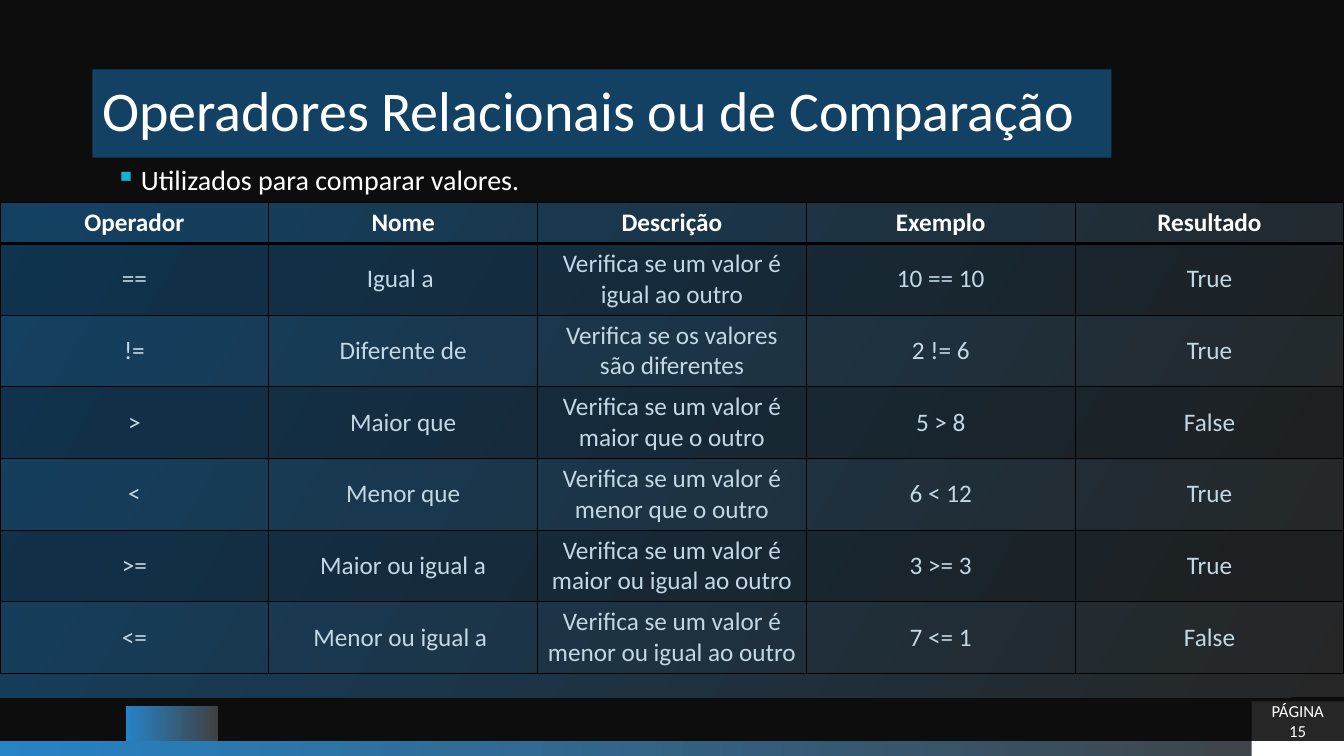
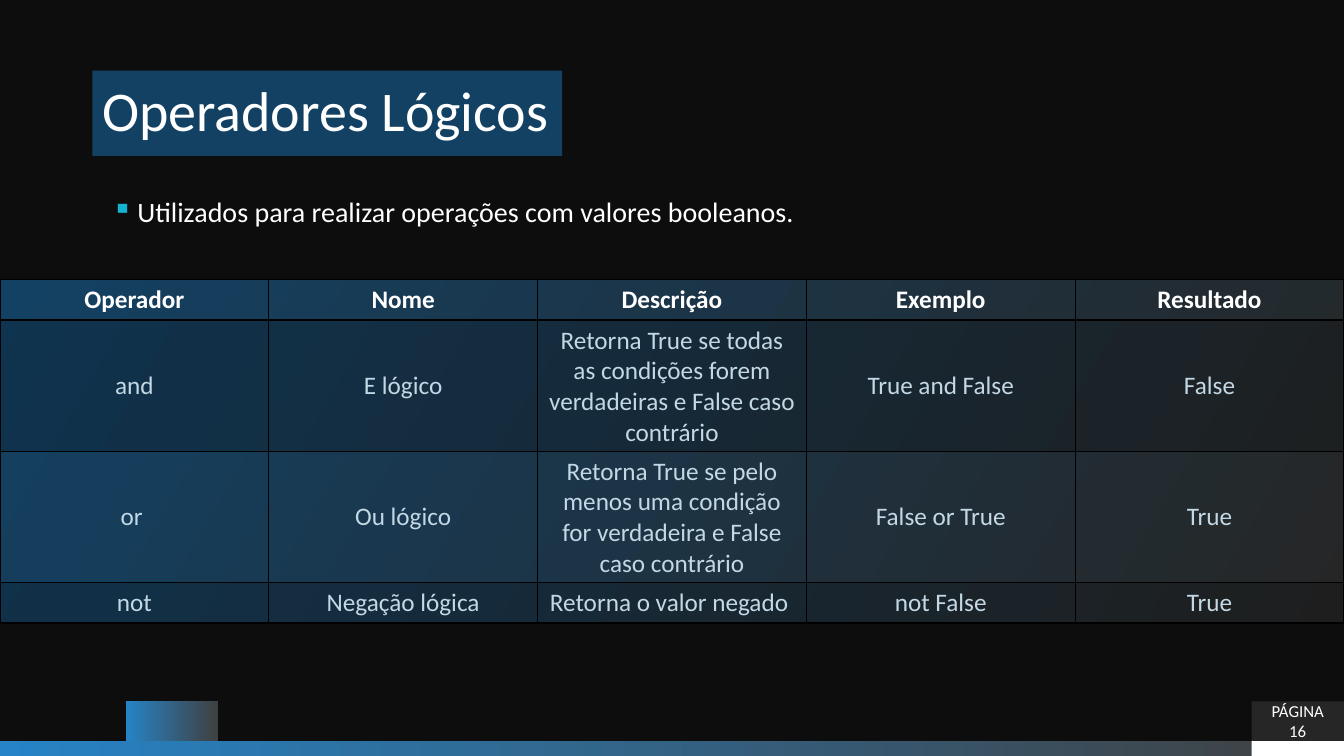
from lxml import etree
from pptx import Presentation
from pptx.dml.color import RGBColor
from pptx.enum.shapes import MSO_SHAPE
from pptx.enum.text import MSO_ANCHOR, PP_ALIGN
from pptx.oxml.ns import qn
from pptx.util import Pt

RECT = MSO_SHAPE.RECTANGLE
LEFT, CENTER = PP_ALIGN.LEFT, PP_ALIGN.CENTER
TOP, MIDDLE = MSO_ANCHOR.TOP, MSO_ANCHOR.MIDDLE

BACKGROUND = RGBColor(0x0D, 0x0D, 0x0D)
WHITE = RGBColor(0xFF, 0xFF, 0xFF)
BLACK = RGBColor(0, 0, 0)
NAVY = RGBColor(0x13, 0x41, 0x63)
BLUE = RGBColor(0x26, 0x83, 0xC6)
GRAY = RGBColor(0x40, 0x40, 0x40)
DARK = RGBColor(0x26, 0x26, 0x26)
CYAN = RGBColor(0x17, 0xB2, 0xD1)
PALE = RGBColor(0xC3, 0xD8, 0xE5)

FONT = "Calibri"
WIDTH, HEIGHT = 960, 540
BAND_TOP = 529.2
PAGE_LEFT, PAGE_WIDTH = 894, 66
PAGE_TOP = 501
HEADER_HEIGHT = 29.2
BAND_ALPHA = 20

HEADERS = ("Operador", "Nome", "Descrição", "Exemplo", "Resultado")
RELATIONAL = (
    ("==", "Igual a ", "Verifica se um valor é igual ao outro", "10 == 10", "True"),
    ("!=", "Diferente de", "Verifica se os valores são diferentes", "2 != 6", "True"),
    (">", "Maior que", "Verifica se um valor é maior que o outro", "5 > 8", "False"),
    ("<", "Menor que", "Verifica se um valor é menor que o outro", "6 < 12", "True"),
    (">=", "Maior ou igual a", "Verifica se um valor é maior ou igual ao outro",
     "3 >= 3", "True"),
    ("<=", "Menor ou igual a ", "Verifica se um valor é menor ou igual ao outro",
     "7 <= 1", "False"),
)
LOGICAL = (
    ("and", "E lógico",
     "Retorna True se todas as condições forem verdadeiras e False caso contrário",
     "True and False", "False"),
    ("or ", "Ou lógico",
     "Retorna True se pelo menos uma condição for verdadeira e False caso contrário",
     "False or True", "True"),
    ("not", "Negação lógica", "Retorna o valor negado ", "not False", "True"),
)


def write(tf, text, size=18, color=WHITE, bold=False, align=LEFT, anchor=TOP,
          spacing=None):
    tf.word_wrap = True
    tf.vertical_anchor = anchor
    p = tf.paragraphs[0]
    p.alignment = align
    if spacing:
        p.line_spacing = spacing
    r = p.add_run()
    r.text = text
    r.font.name = FONT
    r.font.size = Pt(size)
    r.font.bold = bold
    r.font.color.rgb = color
    return p


def add_rect(s, left, top, width, height, color=None):
    sp = s.shapes.add_shape(RECT, Pt(left), Pt(top), Pt(width), Pt(height))
    sp.shadow.inherit = False
    sp.line.fill.background()
    if color is not None:
        sp.fill.solid()
        sp.fill.fore_color.rgb = color
    return sp


def add_gradient(s, left, top, width, height, start=BLUE, end=GRAY, angle=0):
    """Add a rectangle with a two-colour gradient; angle is counter-clockwise."""
    sp = add_rect(s, left, top, width, height)
    sp.fill.gradient()
    sp.fill.gradient_angle = angle
    for stop, color, position in zip(sp.fill.gradient_stops, (start, end), (0, 1)):
        stop.color.rgb = color
        stop.position = position


def add_title(s, text, top, width, height):
    sp = add_rect(s, 66, top, width, height, NAVY)
    tf = sp.text_frame
    tf.margin_top = tf.margin_bottom = Pt(8.64)
    write(tf, text, size=40, anchor=MIDDLE, spacing=0.9)


def add_bullet(s, text, left, top, width):
    sp = s.shapes.add_textbox(Pt(left), Pt(top), Pt(width), Pt(28.8))
    p = write(sp.text_frame, text, size=20, spacing=0.9)
    pPr = p._p.get_or_add_pPr()
    pPr.set("marL", str(Pt(18)))
    pPr.set("indent", str(Pt(-18)))
    color = etree.SubElement(pPr, qn("a:buClr"))
    etree.SubElement(color, qn("a:srgbClr"), val=str(CYAN))
    etree.SubElement(pPr, qn("a:buChar"), char="▪")


def set_borders(cell, top=1, bottom=1):
    tcPr = cell._tc.get_or_add_tcPr()
    for side, width in (("L", 1), ("R", 1), ("T", top), ("B", bottom)):
        ln = etree.SubElement(tcPr, qn(f"a:ln{side}"), w=str(Pt(width)))
        fill = etree.SubElement(ln, qn("a:solidFill"))
        etree.SubElement(fill, qn("a:srgbClr"), val=str(BLACK))


def shade(cell):
    """Darken a cell with translucent black."""
    cell.fill.solid()
    cell.fill.fore_color.rgb = BLACK
    color = cell._tc.tcPr.find(f"{qn('a:solidFill')}/{qn('a:srgbClr')}")
    etree.SubElement(color, qn("a:alpha"), val=str(BAND_ALPHA * 1000))


def add_operator_table(s, top, panel_height, rows, row_heights):
    add_gradient(s, 0, top, WIDTH, panel_height, DARK, NAVY, angle=150)
    heights = (HEADER_HEIGHT, *row_heights)
    frame = s.shapes.add_table(len(heights), len(HEADERS), Pt(0), Pt(top),
                               Pt(WIDTH), Pt(sum(heights)))
    table = frame.table
    table.horz_banding = False
    for i, (height, texts) in enumerate(zip(heights, (HEADERS, *rows))):
        table.rows[i].height = Pt(height)
        header = i == 0
        for j, text in enumerate(texts):
            cell = table.cell(i, j)
            set_borders(cell, top=2 if i == 1 else 1, bottom=2 if header else 1)
            if i % 2:
                shade(cell)
            else:
                cell.fill.background()
            cell.vertical_anchor = TOP if header else MIDDLE
            write(cell.text_frame, text, color=WHITE if header else PALE,
                  bold=header, align=CENTER, anchor=cell.vertical_anchor)


def add_slide(prs, page, tab_top=PAGE_TOP):
    """Add a slide with the bottom band, the page number and the gradient tab."""
    s = prs.slides.add_slide(prs.slide_layouts[6])
    s.background.fill.solid()
    s.background.fill.fore_color.rgb = BACKGROUND
    add_gradient(s, 0, BAND_TOP, WIDTH, HEIGHT - BAND_TOP)
    add_rect(s, PAGE_LEFT, BAND_TOP, PAGE_WIDTH, HEIGHT - BAND_TOP, WHITE)
    sp = add_rect(s, PAGE_LEFT, PAGE_TOP, PAGE_WIDTH, BAND_TOP - PAGE_TOP, DARK)
    write(sp.text_frame, f"PÁGINA {page}", size=12, align=CENTER, anchor=MIDDLE)
    add_gradient(s, 90, tab_top, 66, BAND_TOP - tab_top)
    return s


def main():
    prs = Presentation()
    prs.slide_width, prs.slide_height = Pt(WIDTH), Pt(HEIGHT)

    s = add_slide(prs, 15, tab_top=504)
    add_title(s, "Operadores Relacionais ou de Comparação", 49.5, 728, 63.2)
    add_operator_table(s, 144.7, 353.3, RELATIONAL, [51.2] * len(RELATIONAL))
    add_bullet(s, "Utilizados para comparar valores.", 75.6, 115.2, 305.3)

    s = add_slide(prs, 16)
    add_title(s, "Operadores Lógicos", 50.5, 335.5, 60.8)
    add_bullet(s, "Utilizados para realizar operações com valores booleanos.",
               73, 138.2, 517.7)
    add_operator_table(s, 199.4, 245.6, LOGICAL, [93.6, 93.6, HEADER_HEIGHT])

    prs.save("out.pptx")


if __name__ == "__main__":
    main()
